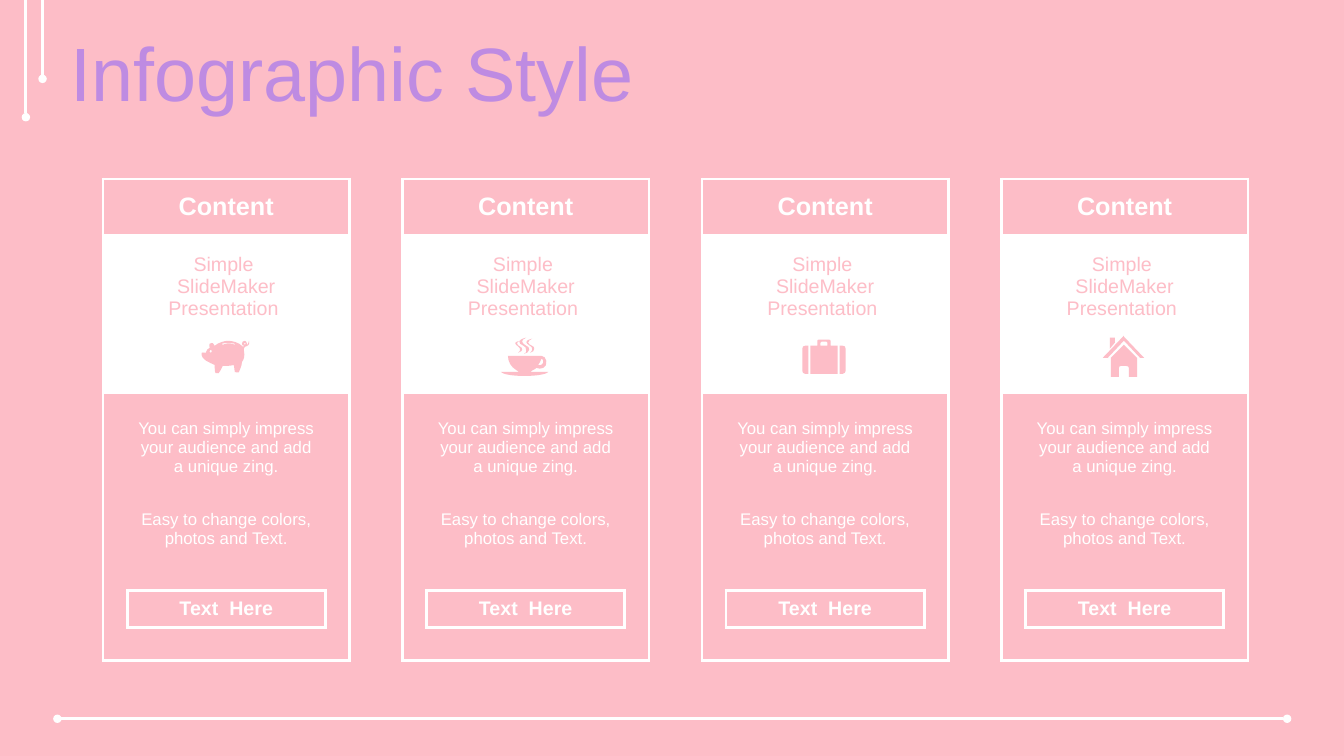
"""Build the Infographic Style slide with four icon cards."""
from dataclasses import dataclass

from lxml import etree
from pptx import Presentation, dml, slide as sl, table as tb, util as u
from pptx.dml import color
from pptx.enum import shapes, text
from pptx.oxml import ns

COLORS = {"pink": "FDBDC7", "white": "FFFFFF", "violet": "BE8BE2"}
FONT = "Arial"
CARD_LEFT, CARD_TOP, CARD_PITCH = 73.6, 127.8, 213.9
COL_WIDTHS = (16.4, 141.6, 16.4)
ROW_HEIGHTS = (40.2, 73.3, 40.2, 76.1, 40.2, 23.8, 26.6, 23.8)
BORDER = 2.25
ICON_UNIT = 0.72


@dataclass(frozen=True)
class Rule:
    """A straight decorative line with oval ends."""
    x1: float
    y1: float
    x2: float
    y2: float
    ends: tuple[str, ...]


@dataclass(frozen=True)
class CardText:
    """The text of one card row."""
    row: int
    lines: tuple[str, ...]
    size: float
    color: str = "white"
    bold: bool = False


@dataclass(frozen=True)
class Icon:
    """An icon outline in icon units, placed in points."""
    left: float
    top: float
    outline: str


RULES = (
    Rule(41, 513.4, 919.4, 513.4, ("headEnd", "tailEnd")),
    Rule(18.5, 0, 18.5, 83.7, ("tailEnd",)),
    Rule(30.4, 0, 30.4, 56.3, ("tailEnd",)),
)
CARD_TEXTS = (
    CardText(0, ("Content",), 18, bold=True),
    CardText(1, ("Simple ", "SlideMaker Presentation "), 14, "pink"),
    CardText(3, ("You can simply impress your audience and add a unique zing.",), 12),
    CardText(4, ("Easy to change colors, photos and Text.",), 12),
    CardText(6, ("Text  Here",), 14, bold=True),
)
ROW_FILLS = {0: "pink", 1: "white", 2: "white"}
PIG = Icon(144, 243.4, """
    M 9 9 C 8 9 8 10 8 11 8 12 8 12 9 12 10 12 10 12 10 11 10 10 10 9 9 9
    M 43 2 C 42 2 42 2 42 3 42 4 42 4 43 4 43 4 44 4 44 3 44 2 43 2 43 2
    M 27 2 C 25 2 22 2 20 3 L 21 4 C 25 2 29 2 33 4 L 33 3 C 31 2 29 2 27 2
    M 26 0 C 31 0 37 2 40 5 L 41 6 C 41 6 41 6 42 5 41 5 40 4 40 3
    40 1 41 0 43 0 44 0 45 2 45 3 45 4 45 3 45 4 45 4 46 4 47 0
    48 4 46 5 43 6 43 6 42 7 42 8 L 42 10 C 43 15 42 19 40 21
    40 25 38 28 37 31 37 32 33 31 33 31 33 29 32 27 32 24
    28 25 24 25 21 25 20 28 18 30 17 32 L 14 32 C 13 32 13 27 13 24
    9 22 -1 19 0 12 0 11 2 12 4 12 5 9 6 8 8 7 8 5 7 3 8 3
    11 1 12 3 13 5 16 2 23 0 26 0""")
CUP = Icon(357.84, 241.2, """
    M 40 21 C 39 23 39 25 37 27 38 27 39 28 40 27 42 26 42 25 42 23 42 22 41 21 40 21
    M 40 18 C 42 18 45 20 45 23 46 26 44 29 42 30 40 31 37 31 35 30
    34 31 33 32 32 32 31 33 30 33 29 34 L 47 34 C 46 36 36 38 23 38
    11 38 1 36 0 34 L 18 34 C 17 33 16 33 15 32 10 29 7 24 7 18
    M 19 3 C 17 4 16 4 16 6 17 9 22 9 21 12 21 13 20 14 17 15
    19 14 19 13 19 11 19 9 16 9 15 7 13 5 15 4 19 3
    M 31 1 C 29 2 27 3 27 5 28 8 34 8 33 11 33 13 32 14 29 15
    31 13 31 13 31 11 31 8 27 8 26 6 24 4 26 2 31 1
    M 25 0 C 22 2 21 2 21 4 22 8 29 8 28 12 27 15 26 15 23 16
    25 15 26 14 25 12 25 8 21 8 19 6 17 3 20 1 25 0""")
SUITCASE = Icon(573.12, 242.64, """
    M 37 6 L 40 6 C 42 6 43 7 43 9 L 43 31 C 43 32 42 34 40 34 L 37 34
    M 3 6 L 6 6 6 34 3 34 C 1 34 0 32 0 31 L 0 9 C 0 7 1 6 3 6
    M 19 2 C 18 2 18 3 18 3 L 18 6 25 6 25 3 C 25 3 25 2 24 2
    M 17 0 L 26 0 C 27 0 28 0 28 1 L 28 6 35 6 35 34 8 34 8 6 15 6 15 1
    C 15 0 16 0 17 0""")
HOUSE = Icon(787.68, 239.76, """
    M 21 9 L 34 22 34 41 26 41 26 32 C 26 31 25 30 23 30 L 18 30
    C 17 30 16 31 16 32 L 16 41 8 41 8 22
    M 7 2 L 12 2 12 7 7 13
    M 21 1 L 41 22 37 22 21 5
    M 21 0 L 21 5 5 22 0 22""")


def rgb(name: str) -> color.RGBColor:
    """Return a named colour."""
    return color.RGBColor.from_string(COLORS[name])


def paint(fill: dml.fill.FillFormat, name: str) -> None:
    """Fill with a solid named colour."""
    fill.solid()
    fill.fore_color.rgb = rgb(name)


def style(p, size: float, name: str, bold: bool = False) -> None:
    """Set the font of a paragraph."""
    p.font.name, p.font.size, p.font.bold = FONT, u.Pt(size), bold
    p.font.color.rgb = rgb(name)


def add_title(slide: sl.Slide, title: str) -> None:
    """Place and format the slide title."""
    sp = slide.shapes.title
    sp.left, sp.top, sp.width, sp.height = map(u.Pt, (43.2, 26.6, 916.6, 56.9))
    tf = sp.text_frame
    tf.text = title
    tf.auto_size = text.MSO_AUTO_SIZE.NONE
    tf.vertical_anchor = text.MSO_ANCHOR.MIDDLE
    p = tf.paragraphs[0]
    p.alignment, p.line_spacing, p.space_before = text.PP_ALIGN.LEFT, 0.9, u.Pt(10)
    style(p, 54, "violet")


def add_rule(slide: sl.Slide, rule: Rule) -> None:
    """Draw a white line with oval ends."""
    points = map(u.Pt, (rule.x1, rule.y1, rule.x2, rule.y2))
    line = slide.shapes.add_connector(shapes.MSO_CONNECTOR.STRAIGHT, *points)
    line.line.color.rgb, line.line.width = rgb("white"), u.Pt(2)
    for end in rule.ends:
        etree.SubElement(line.get_or_add_ln(), ns.qn(f"a:{end}"), type="oval")
    etree.SubElement(line._element.spPr, ns.qn("a:effectLst"))


def set_borders(cell: tb._Cell, row: int, col: int) -> None:
    """Outline the card, its header and its button."""
    def across(edge: int) -> bool:
        return edge in (0, 1, len(ROW_HEIGHTS)) or (col == 1 and edge in (6, 7))

    def down(edge: int) -> bool:
        return edge in (0, len(COL_WIDTHS)) or row == 6

    sides = {"L": down(col), "R": down(col + 1), "T": across(row), "B": across(row + 1)}
    for side, shown in sides.items():
        ln = etree.SubElement(cell._tc.get_or_add_tcPr(), ns.qn(f"a:ln{side}"),
                              w=str(u.Pt(BORDER)))
        fill = etree.SubElement(ln, ns.qn("a:solidFill" if shown else "a:noFill"))
        if shown:
            etree.SubElement(fill, ns.qn("a:srgbClr"), val=COLORS["white"])


def add_card(slide: sl.Slide, left: float) -> None:
    """Draw one card as a table."""
    box = map(u.Pt, (left, CARD_TOP, sum(COL_WIDTHS), sum(ROW_HEIGHTS)))
    table = slide.shapes.add_table(len(ROW_HEIGHTS), len(COL_WIDTHS), *box).table
    table.first_row = table.horz_banding = False
    for column, width in zip(table.columns, COL_WIDTHS):
        column.width = u.Pt(width)
    for r, height in enumerate(ROW_HEIGHTS):
        table.rows[r].height = u.Pt(height)
        for c in range(len(COL_WIDTHS)):
            cell = table.cell(r, c)
            cell.margin_top = cell.margin_bottom = u.Pt(0)
            cell.vertical_anchor = text.MSO_ANCHOR.MIDDLE
            set_borders(cell, r, c)
            if r in ROW_FILLS:
                paint(cell.fill, ROW_FILLS[r])
            else:
                cell.fill.background()
    for item in CARD_TEXTS:
        tf = table.cell(item.row, 1).text_frame
        tf.text = "\n".join(item.lines)
        for p in tf.paragraphs:
            p.alignment = text.PP_ALIGN.CENTER
            style(p, item.size, item.color, item.bold)


def trace(contour: str) -> tuple[list[tuple[float, float]], str]:
    """Return the points of a contour and the command letter of each."""
    values, kinds, kind = [], "", "M"
    for token in contour.split():
        if token in "LC":
            kind = token
        else:
            values.append(float(token))
            kinds += kind
    return list(zip(values[::2], values[1::2])), kinds[::2]


def bend(path: etree._Element, kinds: str) -> None:
    """Join each three curve points of a path into one Bézier segment."""
    lines = list(path.iter(ns.qn("a:lnTo")))
    curve_lines = [line for line, kind in zip(lines, kinds) if kind == "C"]
    for first, second, third in zip(*[iter(curve_lines)] * 3):
        first.tag = ns.qn("a:cubicBezTo")
        for line in (second, third):
            first.append(line[0])
            path.remove(line)


def add_icon(slide: sl.Slide, icon: Icon) -> None:
    """Draw an icon as one freeform."""
    builder, kinds = None, ""
    for contour in icon.outline.split("M")[1:]:
        points, letters = trace(contour)
        first, *rest = [(u.Pt(icon.left + x * ICON_UNIT), u.Pt(icon.top + y * ICON_UNIT))
                        for x, y in points]
        if builder is None:
            builder = slide.shapes.build_freeform(*first)
        else:
            builder.move_to(*first)
        builder.add_line_segments(rest, close=True)
        kinds += letters[1:]
    sp = builder.convert_to_shape()
    bend(next(sp._element.iter(ns.qn("a:path"))), kinds)
    sp.shadow.inherit = False
    paint(sp.fill, "pink")
    sp.line.fill.background()


def main() -> None:
    """Build and save the slide."""
    prs = Presentation()
    prs.slide_width, prs.slide_height = u.Pt(960), u.Pt(540)
    slide = prs.slides.add_slide(prs.slide_layouts[5])
    paint(slide.background.fill, "pink")
    add_title(slide, "Infographic Style")
    for rule in RULES:
        add_rule(slide, rule)
    for i, icon in enumerate((PIG, CUP, SUITCASE, HOUSE)):
        add_card(slide, CARD_LEFT + i * CARD_PITCH)
        add_icon(slide, icon)
    prs.save("out.pptx")


if __name__ == "__main__":
    main()
